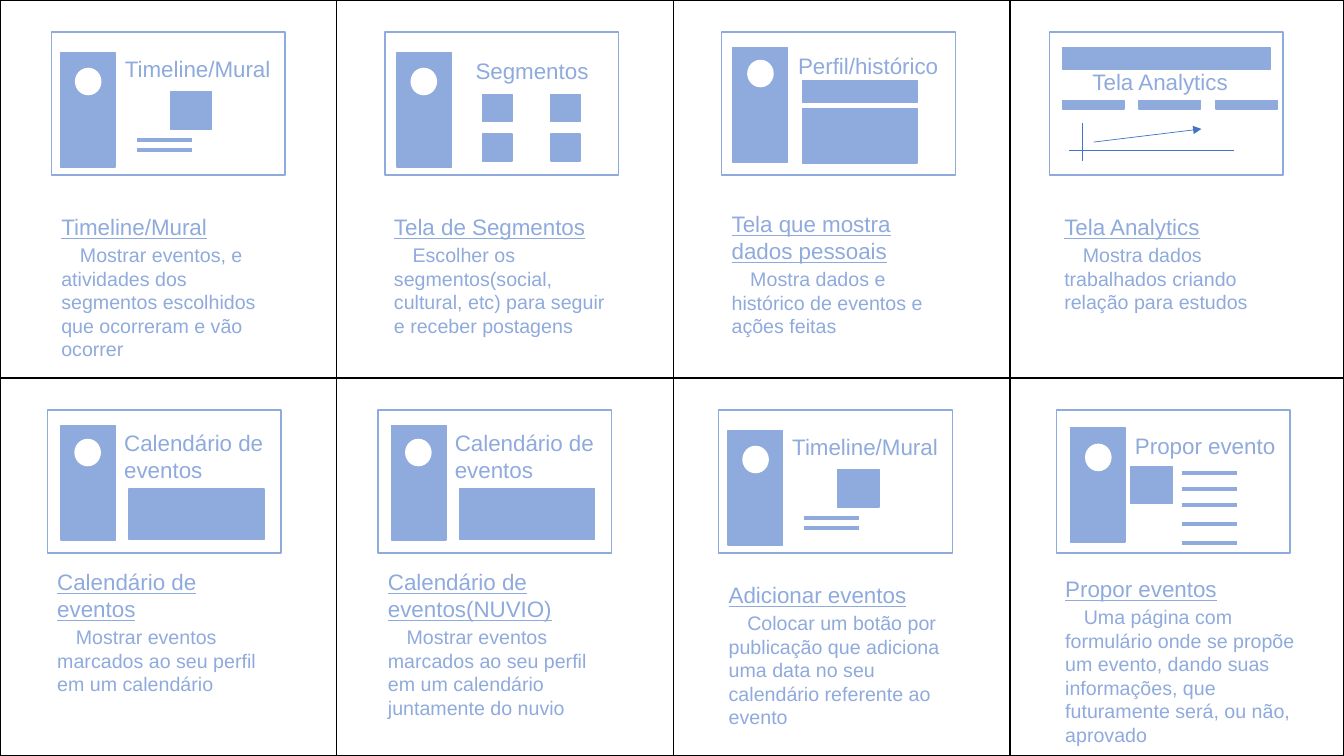
import pptx
import pptx.util
import pptx.dml.color
import pptx.enum.shapes
import pptx.enum.text
import pptx.oxml.ns
import lxml.etree

Pt = pptx.util.Pt
RGBColor = pptx.dml.color.RGBColor
KIND = pptx.enum.shapes.MSO_SHAPE

BLACK = RGBColor(0x00, 0x00, 0x00)
WHITE = RGBColor(0xFF, 0xFF, 0xFF)
LIGHT = RGBColor(0x8F, 0xAA, 0xDC)
BLUE = RGBColor(0x44, 0x72, 0xC4)

CELL_W, CELL_H = 240.5, 270
WIDTH, HEIGHT = 960, 540
FRAME_W, FRAME_H = 167, 102

HEAD = {"size": Pt(16), "name": "Arial"}
TITLE = {**HEAD, "underline": True}
BODY = {"size": Pt(14), "name": "Arial"}

# Caption: left, top, width, height, heading, text
NOTES = [
    (36.7, 149, 167, 114, "Timeline/Mural",
     "Mostrar eventos, e atividades dos segmentos escolhidos que ocorreram e vão ocorrer"),
    (274.3, 149, 167, 97, "Tela de Segmentos",
     "Escolher os segmentos(social, cultural, etc) para seguir e receber postagens"),
    (515.5, 146.9, 167, 99, "Tela que mostra dados pessoais",
     "Mostra dados e histórico de eventos e ações feitas"),
    (753.1, 149, 167, 80, "Tela Analytics",
     "Mostra dados trabalhados criando relação para estudos"),
    (33.8, 402.5, 167, 99, "Calendário de eventos",
     "Mostrar eventos marcados ao seu perfil em um calendário"),
    (270, 402.5, 167, 117, "Calendário de eventos(NUVIO)",
     "Mostrar eventos marcados ao seu perfil em um calendário juntamente do nuvio"),
    (513.4, 411.8, 167, 114, "Adicionar eventos",
     "Colocar um botão por publicação que adiciona uma data no seu calendário referente ao evento"),
    (753.8, 407.5, 190.8, 131, "Propor eventos",
     "Uma página com formulário onde se propõe um evento, dando suas informações, "
     "que futuramente será, ou não, aprovado"),
]


def add_block(slide, x, y, w, h, fill=LIGHT, line=LIGHT, kind=KIND.RECTANGLE):
    block = slide.shapes.add_shape(kind, Pt(x), Pt(y), Pt(w), Pt(h))
    block.shadow.inherit = False
    if fill is None:
        block.fill.background()
    else:
        block.fill.solid()
        block.fill.fore_color.rgb = fill
    block.line.color.rgb = line
    block.line.width = Pt(1)


def add_line(slide, x1, y1, x2, y2, color=LIGHT, width=3, arrow=False):
    line = slide.shapes.add_connector(
        pptx.enum.shapes.MSO_CONNECTOR.STRAIGHT, Pt(x1), Pt(y1), Pt(x2), Pt(y2))
    line.line.color.rgb = color
    line.line.width = Pt(width)
    qn = pptx.oxml.ns.qn
    if arrow:
        tail = lxml.etree.SubElement(line.line._get_or_add_ln(), qn("a:tailEnd"))
        tail.set("type", "triangle")
    lxml.etree.SubElement(line._element.spPr, qn("a:effectLst"))


def add_text(slide, x, y, w, h, parts):
    frame = slide.shapes.add_textbox(Pt(x), Pt(y), Pt(w), Pt(h)).text_frame
    frame.word_wrap = True
    frame.auto_size = pptx.enum.text.MSO_AUTO_SIZE.SHAPE_TO_FIT_TEXT
    for place, (words, form) in enumerate(parts):
        para = frame.add_paragraph() if place else frame.paragraphs[0]
        if place:
            para._p.get_or_add_pPr().set("indent", str(Pt(13.3)))
            para.space_before = Pt(2)
        run = para.add_run()
        run.text = words
        for name, value in form.items():
            setattr(run.font, name, value)
        run.font.color.rgb = LIGHT


def add_title(slide, x, y, words, w=121.7, h=26.6):
    add_text(slide, x, y, w, h, [(words, HEAD)])


def add_side(slide, x, y, dx=10.8, dy=11.5):
    """Side bar with a round user mark."""
    add_block(slide, x, y, 39, 82)
    add_block(slide, x + dx, y + dy, 18, 18.7, WHITE, WHITE, KIND.OVAL)


# Screens, each drawn from the corner of its frame
def draw_wall(slide, x, y):
    add_side(slide, x + 6.5, y + 14.4)
    add_title(slide, x + 45.4, y + 13, "Timeline/Mural")
    add_block(slide, x + 85, y + 42.5, 29.5, 26.6)
    for dy in (77, 84.2):
        add_line(slide, x + 61.2, y + dy, x + 100.2, y + dy)


def draw_groups(slide, x, y):
    add_side(slide, x + 8.6, y + 14.4, 10.1)
    add_title(slide, x + 57.6, y + 14.4, "Segmentos", 95.8)
    for row in range(2):
        for col in range(2):
            add_block(slide, x + 69.8 + 48.7 * col, y + 44.6 + 28 * row, 20.9, 19.4)


def draw_user(slide, x, y):
    add_side(slide, x + 7.9, y + 10.8, 10.8, 9.4)
    add_title(slide, x + 47.5, y + 10.8, "Perfil/histórico", 119.5)
    for dy, high in ((34.6, 15.8), (54.7, 38.9)):
        add_block(slide, x + 57.6, y + dy, 82, high)


def draw_stats(slide, x, y):
    add_block(slide, x + 9.4, y + 10.8, 148.3, 15.8)
    add_title(slide, x + 23.8, y + 22.3, "Tela Analytics", 119.5)
    for col in range(3):
        add_block(slide, x + 9.4 + 54.8 * col, y + 49, 43.9, 5.8)
    # Axes and trend arrow
    add_line(slide, x + 23.8, y + 64.8, x + 23.8, y + 92.2, BLUE, 0.5)
    add_line(slide, x + 14.4, y + 84.2, x + 131.8, y + 84.2, BLUE, 0.5)
    add_line(slide, x + 31.7, y + 78.5, x + 108.7, y + 69.1, BLUE, 0.5, True)


def draw_dates(slide, x, y):
    add_side(slide, x + 9.7, y + 10.8, 10.1, 10.1)
    add_title(slide, x + 47.8, y + 10.1, "Calendário de eventos", h=46)
    add_block(slide, x + 58.3, y + 56.2, 96.5, 36)


def draw_form(slide, x, y):
    add_side(slide, x + 10.1, y + 12.2, 10.8, 12.2)
    add_title(slide, x + 49, y + 12.2, "Propor evento")
    add_block(slide, x + 53.3, y + 40.3, 29.5, 26.6)
    for dy in (44.6, 56.2, 67.7, 81.4, 95):
        add_line(slide, x + 90, y + dy, x + 129, y + dy)


SCREENS = [
    (36.7, draw_wall), (275, draw_groups), (515.5, draw_user), (749.5, draw_stats),
    (33.8, draw_dates), (270, draw_dates), (513.4, draw_wall), (754.6, draw_form),
]


def main():
    deck = pptx.Presentation()
    deck.slide_width, deck.slide_height = Pt(WIDTH), Pt(HEIGHT)
    slide = deck.slides.add_slide(deck.slide_layouts[6])

    # Grid of eight cells
    for place in range(8):
        row, col = divmod(place, 4)
        left = col * CELL_W
        add_block(slide, left, row * CELL_H, min(CELL_W, WIDTH - left), CELL_H, None, BLACK)

    # Screen and caption in each cell
    for place, ((left, draw), note) in enumerate(zip(SCREENS, NOTES)):
        top = 23 + place // 4 * CELL_H
        add_block(slide, left, top, FRAME_W, FRAME_H, None)
        draw(slide, left, top)
        *box, head, body = note
        add_text(slide, *box, [(head, TITLE), (body, BODY)])

    deck.save("out.pptx")


if __name__ == "__main__":
    main()
